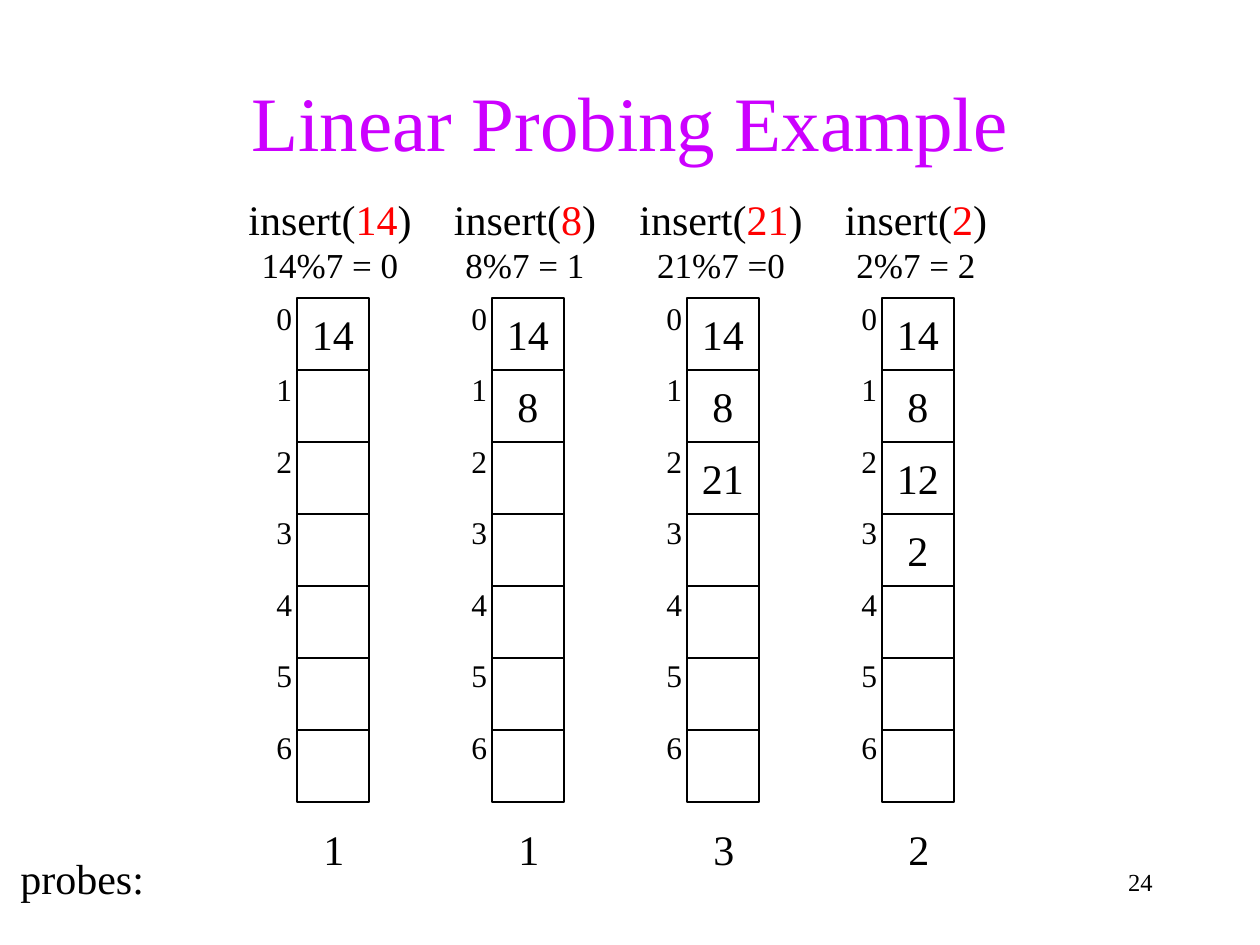
"""Build the linear probing slide: four hash tables after successive inserts."""
from dataclasses import dataclass

import pptx
import pptx.dml.color
import pptx.enum.shapes
import pptx.enum.text
import pptx.shapes.autoshape
import pptx.slide
import pptx.util

COLORS = {"text": "000000", "title": "CC00FF", "key": "FF0000"}
FONT = "Times New Roman"
PX_PER_INCH = 126
CELL = 72
SLOTS = 7
TABLE_TOP = 298
FIRST_TABLE_LEFT = 297
TABLE_PITCH = 195
LABEL_TOP = 293
ALIGN = pptx.enum.text.PP_ALIGN


@dataclass(frozen=True)
class Span:
    text: str
    size: int
    color: str = "text"


@dataclass(frozen=True)
class Step:
    key: str
    hashing: str
    slots: tuple[str, ...]
    probes: str
    header_left: int
    header_width: int


STEPS = (
    Step("14", "14%7 = 0", ("14",), "1", 233, 194),
    Step("8", "8%7 = 1", ("14", "8"), "1", 439, 172),
    Step("21", "21%7 =0", ("14", "8", "21"), "3", 624, 194),
    Step("2", "2%7 = 2", ("14", "8", "12", "2"), "2", 830, 172),
)


def px(length: int) -> pptx.util.Emu:
    return pptx.util.Emu(round(length * 914400 / PX_PER_INCH))


def rgb(name: str) -> pptx.dml.color.RGBColor:
    return pptx.dml.color.RGBColor.from_string(COLORS[name])


def write(box: pptx.shapes.autoshape.Shape, lines: list[list[Span]], align: ALIGN) -> None:
    frame = box.text_frame
    for index, line in enumerate(lines):
        para = frame.add_paragraph() if index else frame.paragraphs[0]
        para.alignment = align
        for span in line:
            run = para.add_run()
            run.text = span.text
            run.font.name = FONT
            run.font.size = pptx.util.Pt(span.size)
            run.font.color.rgb = rgb(span.color)


def add_text(page: pptx.slide.Slide, left: int, top: int, width: int, height: int,
             lines: list[list[Span]], align: ALIGN = ALIGN.LEFT,
             wrap: bool = False) -> pptx.shapes.autoshape.Shape:
    box = page.shapes.add_textbox(px(left), px(top), px(width), px(height))
    box.text_frame.word_wrap = wrap
    if not wrap:
        box.text_frame.auto_size = pptx.enum.text.MSO_AUTO_SIZE.SHAPE_TO_FIT_TEXT
    write(box, lines, align)
    return box


def add_cell(page: pptx.slide.Slide, left: int, top: int, value: str) -> None:
    box = page.shapes.add_shape(pptx.enum.shapes.MSO_SHAPE.RECTANGLE,
                                px(left), px(top), px(CELL), px(CELL))
    box.shadow.inherit = False
    box.fill.background()
    box.line.color.rgb = rgb("text")
    box.line.width = pptx.util.Pt(0.75)
    box.text_frame.word_wrap = False
    box.text_frame.vertical_anchor = pptx.enum.text.MSO_ANCHOR.MIDDLE
    if value:
        write(box, [[Span(value, 24)]], ALIGN.CENTER)


def add_step(page: pptx.slide.Slide, step: Step, left: int) -> None:
    header = [[Span("insert(", 24), Span(step.key, 24, "key"), Span(")", 24)],
              [Span(step.hashing, 20)]]
    add_text(page, step.header_left, 187, step.header_width, 106, header, ALIGN.CENTER)
    for slot in range(SLOTS):
        value = step.slots[slot] if slot < len(step.slots) else ""
        add_cell(page, left, TABLE_TOP + slot * CELL, value)
        add_text(page, left - 33, LABEL_TOP + slot * 143 // 2, 40, 50,
                 [[Span(str(slot), 18)]])
    add_text(page, left + 14, 817, 45, 63, [[Span(step.probes, 24)]])


def main() -> None:
    deck = pptx.Presentation()
    deck.slide_width, deck.slide_height = px(1260), px(945)
    page = deck.slides.add_slide(deck.slide_layouts[6])
    title = add_text(page, 95, 42, 1071, 158,
                     [[Span("Linear Probing Example", 44, "title")]], ALIGN.CENTER, True)
    title.text_frame.vertical_anchor = pptx.enum.text.MSO_ANCHOR.MIDDLE
    add_text(page, 903, 861, 262, 63, [[Span("24", 14)]], ALIGN.RIGHT, True)
    add_text(page, 8, 846, 149, 63, [[Span("probes:", 24)]])
    for index, step in enumerate(STEPS):
        add_step(page, step, FIRST_TABLE_LEFT + index * TABLE_PITCH)
    deck.save("out.pptx")


if __name__ == "__main__":
    main()
